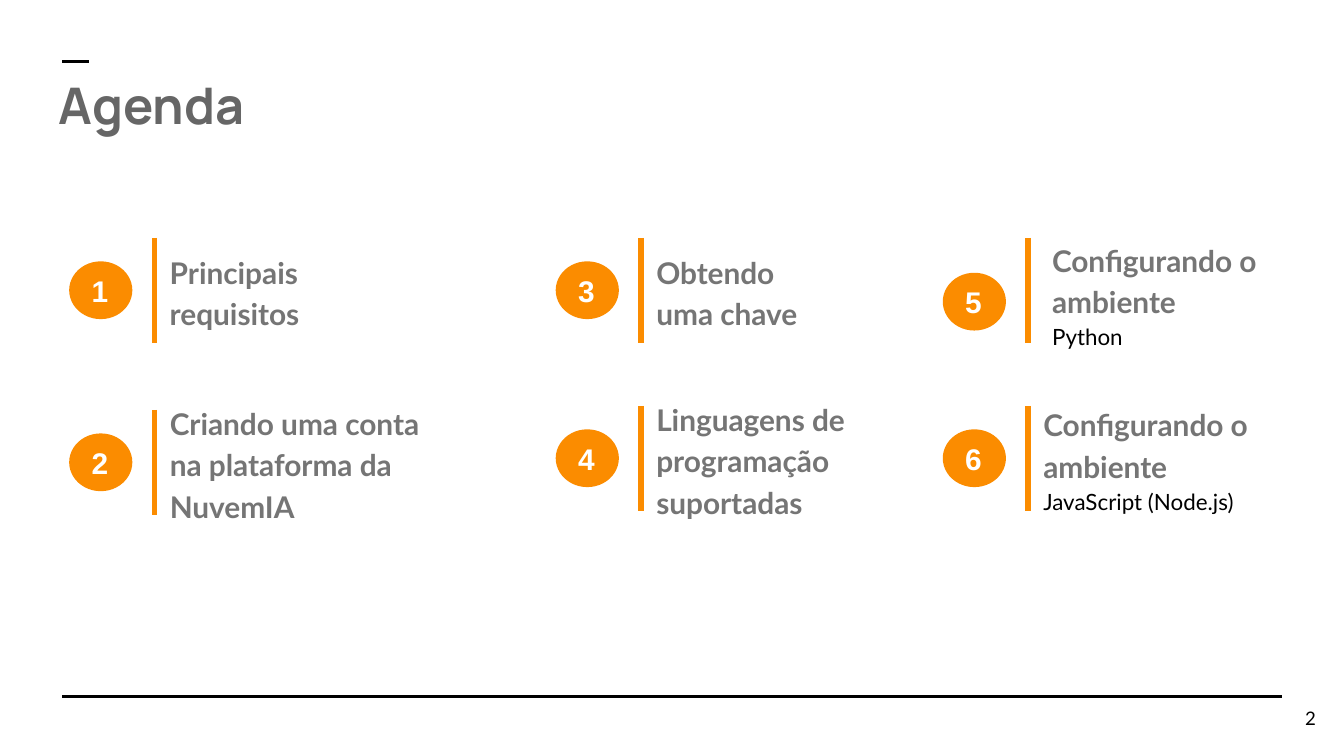
"""Build the agenda slide with six numbered topics."""
from dataclasses import dataclass

from lxml.etree import SubElement
from pptx import Presentation
from pptx.dml.color import RGBColor
from pptx.enum.shapes import MSO_CONNECTOR, MSO_SHAPE
from pptx.enum.text import MSO_ANCHOR as Anchor, MSO_AUTO_SIZE, PP_ALIGN as Align
from pptx.oxml.ns import qn
from pptx.util import Pt


@dataclass(frozen=True)
class Theme:
    ink: str = "000000"
    heading: str = "666666"
    topic: str = "757575"
    accent: str = "FB8C00"
    white: str = "FFFFFF"
    title_size: int = 27
    topic_size: int = 16
    detail_size: int = 12
    page_size: int = 10
    title_font: str = "Manrope"
    body_font: str = "Lato"
    badge_font: str = "Arial"


theme = Theme()
PX = 4572
INSET = 20 * PX

deck = Presentation()
deck.slide_width, deck.slide_height = 2000 * PX, 1125 * PX
slide = deck.slides.add_slide(deck.slide_layouts[5])
shapes = slide.shapes


def add_rule(x1, y1, x2, y2, color, weight):
    rule = shapes.add_connector(
        MSO_CONNECTOR.STRAIGHT, x1 * PX, y1 * PX, x2 * PX, y2 * PX)
    rule.line.color.rgb = RGBColor.from_string(color)
    rule.line.width = Pt(weight)
    SubElement(rule._element.spPr, qn("a:effectLst"))


def write(holder, lines, font, anchor=Anchor.MIDDLE, align=Align.LEFT, spacing=1.0):
    frame = holder.text_frame
    frame.text = "\n".join(text for text, *_ in lines)
    frame.word_wrap = True
    frame.auto_size = MSO_AUTO_SIZE.NONE
    frame.vertical_anchor = anchor
    frame.margin_left = frame.margin_right = INSET
    frame.margin_top = frame.margin_bottom = INSET
    for paragraph, (_, size, color, bold) in zip(frame.paragraphs, lines):
        paragraph.alignment = align
        paragraph.line_spacing = spacing
        face = paragraph.runs[0].font
        face.name, face.size, face.bold = font, Pt(size), bold
        face.color.rgb = RGBColor.from_string(color)


add_rule(93, 1036, 1908, 1036, theme.ink, 1.5)
add_rule(93, 91, 133, 91, theme.ink, 1.5)

page_number = shapes.add_textbox(1858 * PX, 1026 * PX, 120 * PX, 86 * PX)
write(page_number, [("2", theme.page_size, theme.ink, False)],
      theme.body_font, align=Align.RIGHT)

heading = shapes.title
heading.left, heading.top, heading.width, heading.height = (
    67 * PX, 90 * PX, 1864 * PX, 140 * PX)
write(heading, [("Agenda", theme.title_size, theme.heading, True)],
      theme.title_font, anchor=Anchor.TOP)

# bar x, bar y, badge drop, topic shift x, topic shift y, topic width, topic, detail
topics = [
    (230, 354, 35, 3, -17, 366, "Principais requisitos", ""),
    (230, 610, 35, 3, -17, 430, "Criando uma conta na plataforma da NuvemIA", ""),
    (954, 354, 35, 3, -17, 308, "Obtendo uma chave", ""),
    (954, 604, 35, 3, -17, 446, "Linguagens de programação suportadas", ""),
    (1530, 354, 52, 16, -12, 446, "Configurando o ambiente", "Python"),
    (1530, 604, 35, 3, -17, 446, "Configurando o ambiente", "JavaScript (Node.js)"),
]

for number, (x, y, drop, shift_x, shift_y, width, topic, detail) in enumerate(topics, 1):
    add_rule(x, y, x, y + 156, theme.accent, 3)

    label = shapes.add_textbox(
        (x + shift_x) * PX, (y + shift_y) * PX, width * PX, 190 * PX)
    lines = [(topic, theme.topic_size, theme.topic, True)]
    if detail:
        lines.append((detail, theme.detail_size, theme.ink, False))
    write(label, lines, theme.body_font, spacing=1.15)

    badge = shapes.add_shape(
        MSO_SHAPE.OVAL, (x - 127) * PX, (y + drop) * PX, 94 * PX, 86 * PX)
    badge.shadow.inherit = False
    badge.fill.solid()
    badge.fill.fore_color.rgb = RGBColor.from_string(theme.accent)
    badge.line.fill.background()
    write(badge, [(str(number), theme.topic_size, theme.white, True)], theme.badge_font)

deck.save("out.pptx")
